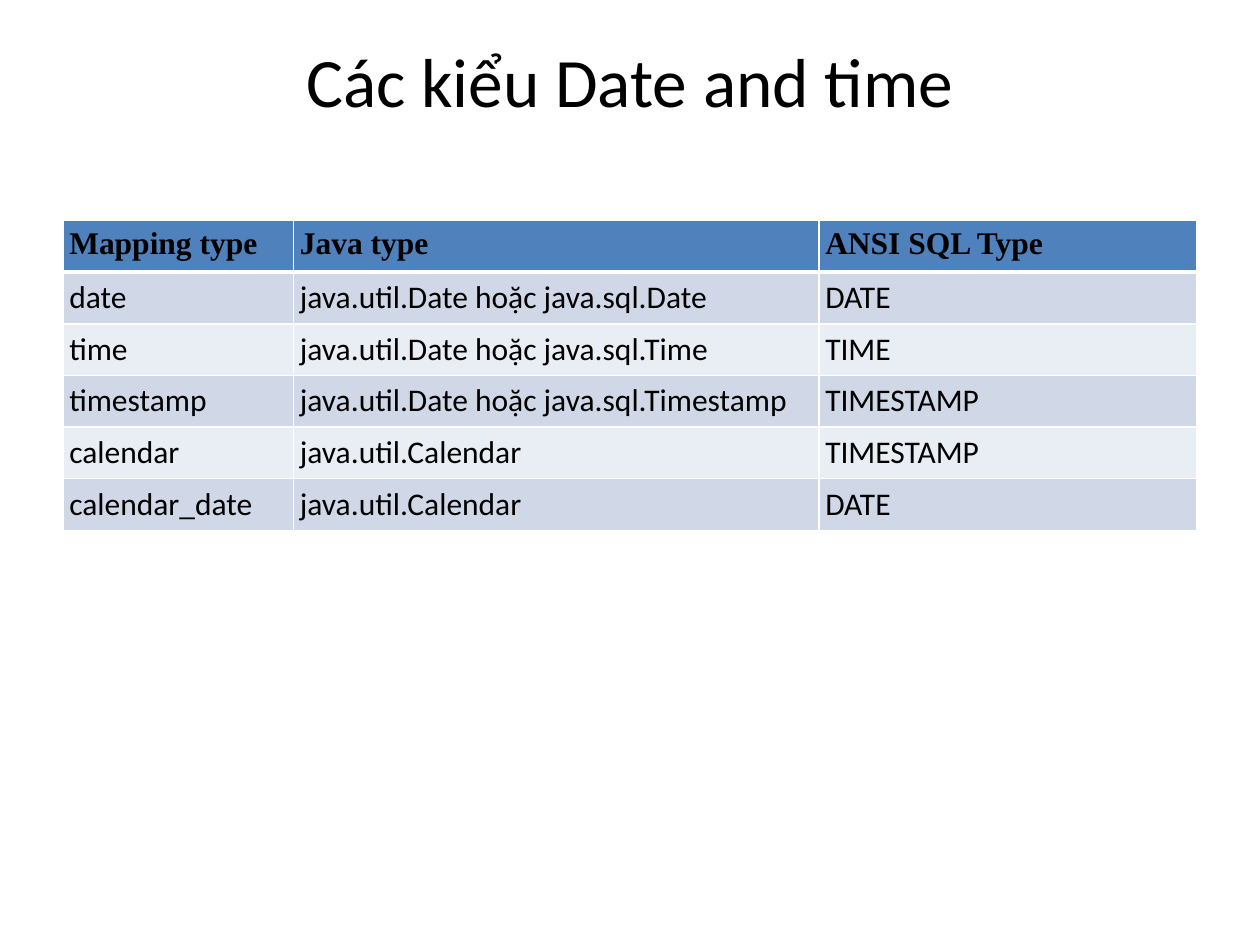
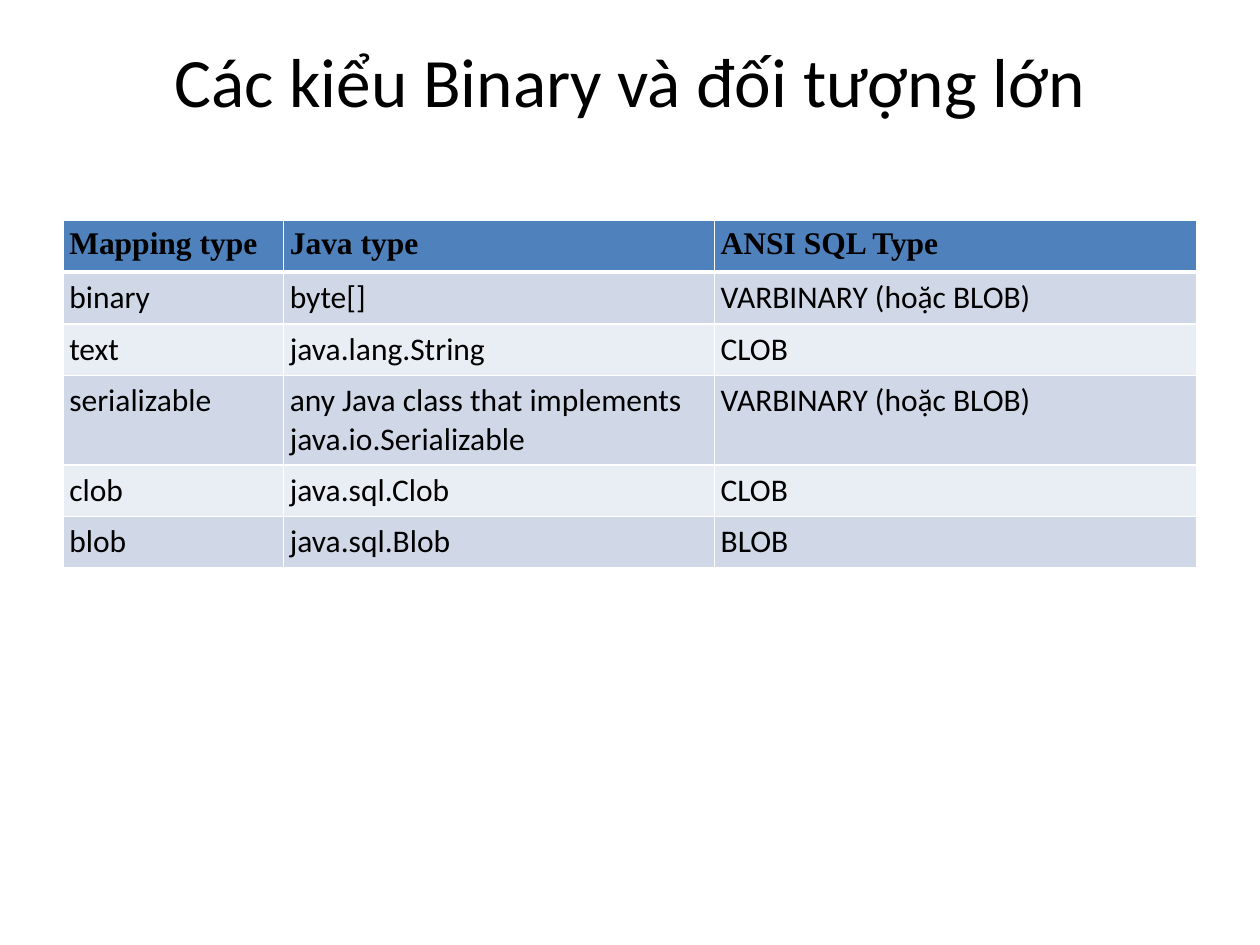
from lxml import etree
from pptx import Presentation
from pptx.dml.color import RGBColor
from pptx.enum import text
from pptx.oxml import ns
from pptx.util import Inches, Pt

BLACK, WHITE = "000000", "FFFFFF"
HEADER_FILL = "4F81BD"
BAND_FILLS = ["E9EDF4", "D0D8E8"]
ROW_HEIGHT = 0.41
HEADINGS = ["Mapping type", "Java type", "ANSI SQL Type"]

type_slides = [
    ("Các kiểu Date and time", [1.83, 4.17, 3], [
        ["date", "java.util.Date hoặc java.sql.Date", "DATE"],
        ["time", "java.util.Date hoặc java.sql.Time", "TIME"],
        ["timestamp", "java.util.Date hoặc java.sql.Timestamp", "TIMESTAMP"],
        ["calendar", "java.util.Calendar", "TIMESTAMP"],
        ["calendar_date", "java.util.Calendar", "DATE"],
    ]),
    ("Các kiểu Binary và đối tượng lớn", [1.75, 3.42, 3.83], [
        ["binary", "byte[]", "VARBINARY (hoặc BLOB)"],
        ["text", "java.lang.String", "CLOB"],
        ["serializable", "any Java class that implements java.io.Serializable",
         "VARBINARY (hoặc BLOB)"],
        ["clob", "java.sql.Clob", "CLOB"],
        ["blob", "java.sql.Blob", "BLOB"],
    ]),
]


def style_font(font, name, size, bold=False):
    font.name = name
    font.size = Pt(size)
    font.bold = bold
    font.color.rgb = RGBColor.from_string(BLACK)


def add_border(cell, side, points):
    """Draw a white line on one side (L, R, T or B); call before filling the cell."""
    line = etree.SubElement(cell._tc.get_or_add_tcPr(), ns.qn(f"a:ln{side}"), w=str(Pt(points)))
    fill = etree.SubElement(line, ns.qn("a:solidFill"))
    etree.SubElement(fill, ns.qn("a:srgbClr"), val=WHITE)


prs = Presentation()
prs.slide_width, prs.slide_height = Inches(10), Inches(7.5)

for heading, column_widths, types in type_slides:
    slide = prs.slides.add_slide(prs.slide_layouts[5])

    title = slide.shapes.title
    title.left, title.top = Inches(0.5), Inches(0.3)
    title.width, title.height = Inches(9), Inches(1.25)
    title.text = heading
    frame = title.text_frame
    frame.auto_size = text.MSO_AUTO_SIZE.NONE
    frame.vertical_anchor = text.MSO_ANCHOR.MIDDLE
    # The bottom inset keeps the single line in the upper half of the title area.
    frame.margin_top, frame.margin_bottom = 0, Inches(0.58)
    frame.paragraphs[0].alignment = text.PP_ALIGN.CENTER
    style_font(frame.paragraphs[0].font, "Calibri", 39.6)

    rows = [HEADINGS] + types
    table = slide.shapes.add_table(
        len(rows), len(HEADINGS), Inches(0.5), Inches(1.75),
        Inches(9), Inches(ROW_HEIGHT * len(rows))).table
    for column, width in zip(table.columns, column_widths):
        column.width = Inches(width)

    for r, row in enumerate(rows):
        table.rows[r].height = Inches(ROW_HEIGHT)
        is_header = r == 0
        for c, value in enumerate(row):
            cell = table.cell(r, c)
            cell.text = value
            cell.margin_left = cell.margin_right = Inches(0.05)
            cell.margin_top = cell.margin_bottom = Inches(0.05)
            style_font(cell.text_frame.paragraphs[0].font,
                       "Times New Roman" if is_header else "Calibri", 18, is_header)
            for side in "LRTB":
                under_header = (r, side) in [(0, "B"), (1, "T")]
                add_border(cell, side, 3 if under_header else 1)
            cell.fill.solid()
            cell.fill.fore_color.rgb = RGBColor.from_string(
                HEADER_FILL if is_header else BAND_FILLS[r % 2])

prs.save("out.pptx")
